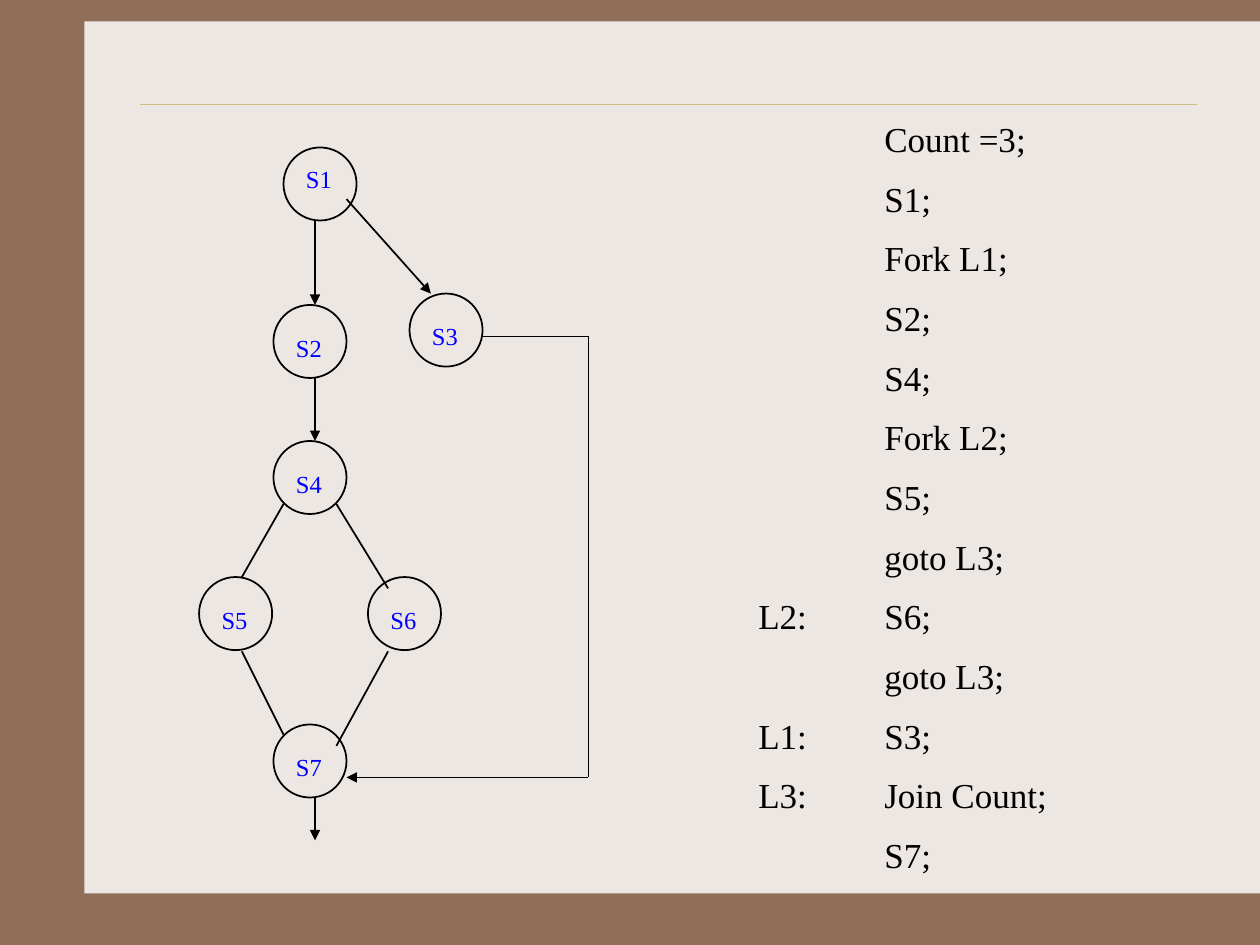
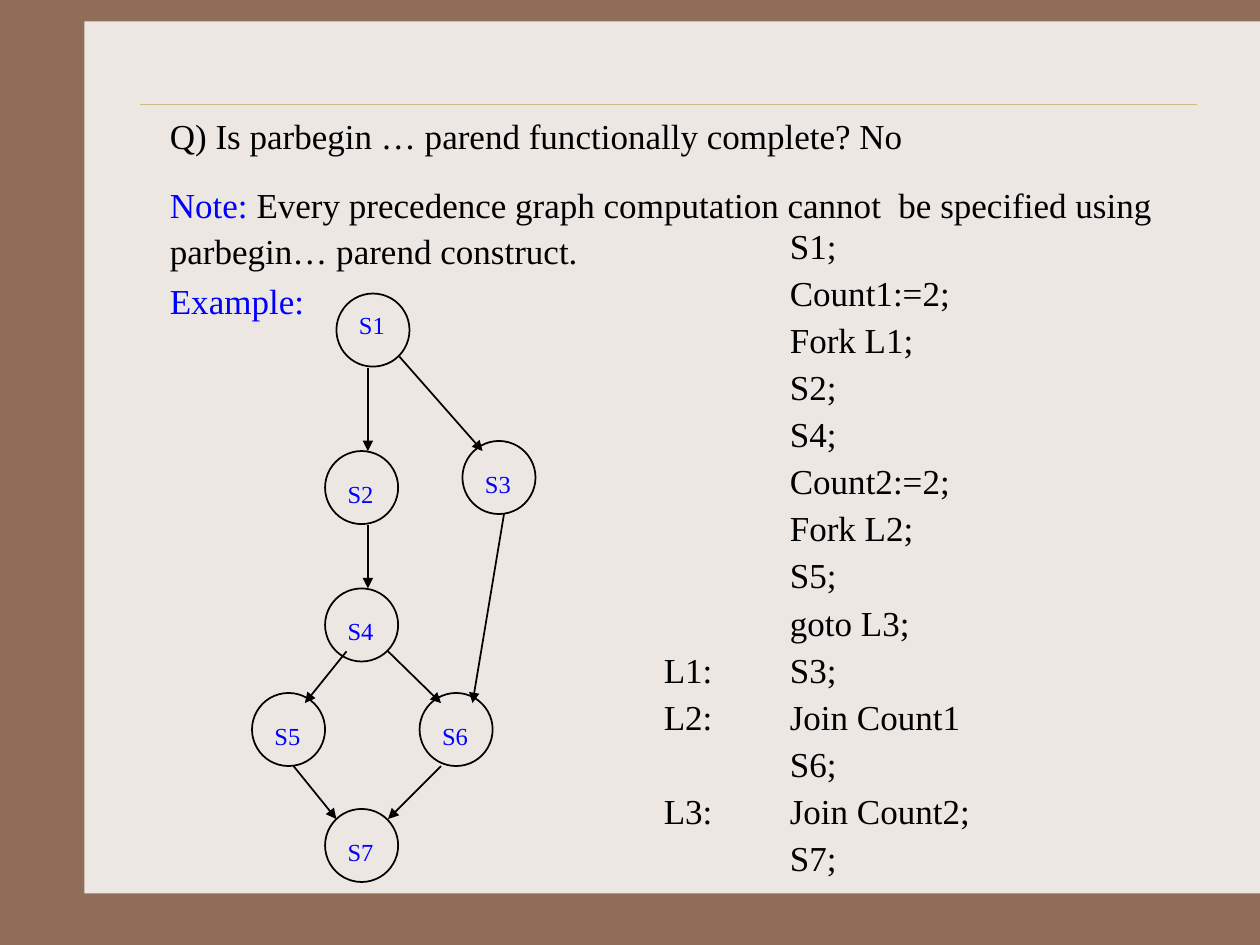
from lxml import etree
from pptx import Presentation
from pptx import util as u
from pptx.dml.color import RGBColor
from pptx.enum import shapes, text
from pptx.oxml import ns

BROWN = RGBColor(0x90, 0x6D, 0x58)
CREAM = RGBColor(0xED, 0xE7, 0xE3)
GOLD = RGBColor(0xCB, 0xBD, 0x83)
BLACK = RGBColor(0, 0, 0)
BLUE = RGBColor(0, 0, 0xFF)
FONT = "Times New Roman"
SIZE = 0.58


class Deck:
    def __init__(self):
        self.prs = Presentation()
        self.prs.slide_width = u.Inches(10)
        self.prs.slide_height = u.Inches(7.5)
        fill = self.prs.slide_master.background.fill
        fill.solid()
        fill.fore_color.rgb = BROWN
        self.slide = None

    def start(self):
        self.slide = self.prs.slides.add_slide(self.prs.slide_layouts[6])
        panel = self.shape(shapes.MSO_SHAPE.RECTANGLE, 0.67, 0.17, 9.33, 6.92)
        panel.fill.solid()
        panel.fill.fore_color.rgb = CREAM
        panel.line.fill.background()
        self.line((1.11, 0.83), (9.5, 0.83), GOLD, 0.25)

    def shape(self, kind, *box):
        shape = self.slide.shapes.add_shape(kind, *map(u.Inches, box))
        shape.shadow.inherit = False
        return shape

    def line(self, tail, tip, color=BLACK, width=1, arrow=False):
        line = self.slide.shapes.add_connector(
            shapes.MSO_CONNECTOR.STRAIGHT, *map(u.Inches, tail + tip))
        line.line.color.rgb = color
        line.line.width = u.Pt(width)
        if arrow:
            etree.SubElement(line.line._get_or_add_ln(),
                             ns.qn("a:tailEnd"), type="triangle")
        etree.SubElement(line.element.spPr, ns.qn("a:effectLst"))

    def lines(self, pairs, arrow=False):
        for tail, tip in pairs:
            self.line(tail, tip, arrow=arrow)

    def text(self, box, paras, size=20, color=BLACK, gap=12.5, pitch=1.0):
        frame = self.slide.shapes.add_textbox(*map(u.Inches, box)).text_frame
        frame.word_wrap = True
        frame.auto_size = text.MSO_AUTO_SIZE.SHAPE_TO_FIT_TEXT
        for i, words in enumerate(paras):
            para = frame.paragraphs[0] if i == 0 else frame.add_paragraph()
            para.space_before = u.Pt(gap)
            para.line_spacing = pitch
            tabs = etree.SubElement(para._p.get_or_add_pPr(), ns.qn("a:tabLst"))
            etree.SubElement(tabs, ns.qn("a:tab"), pos=str(u.Inches(1)), algn="l")
            para.font.name = FONT
            para.font.size = u.Pt(size)
            para.font.color.rgb = color
            for part in [words] if isinstance(words, str) else words:
                run = para.add_run()
                run.text = part
        return frame

    def code(self, box, rows, pitch):
        self.text(box, [row if ":\t" in row else "\t" + row for row in rows],
                  pitch=pitch)

    def node(self, name, left, top):
        ring = self.shape(shapes.MSO_SHAPE.OVAL, left, top, SIZE, SIZE)
        ring.fill.background()
        ring.line.color.rgb = BLACK
        ring.line.width = u.Pt(1)
        drop = 0.08 if name == "S1" else 0.17
        self.text((left + 0.08, top + drop, 0.42, 0.34), [name], 14, BLUE, 8.8)

    def nodes(self, spots):
        for i, spot in enumerate(spots, 1):
            self.node(f"S{i}", *spot)


def fork(deck):
    deck.start()
    deck.nodes([(2.25, 1.17), (2.17, 2.42), (3.25, 2.33), (2.17, 3.5),
                (1.58, 4.58), (2.92, 4.58), (2.17, 5.75)])
    deck.lines([((2.5, 1.75), (2.5, 2.42)), ((2.75, 1.58), (3.42, 2.33)),
                ((2.5, 3), (2.5, 3.5)), ((2.5, 6.33), (2.5, 6.67)),
                ((4.67, 6.17), (2.75, 6.17))], arrow=True)
    deck.lines([((2.25, 4), (1.92, 4.58)), ((2.67, 4), (3.08, 4.67)),
                ((1.92, 5.17), (2.25, 5.83)), ((3.08, 5.17), (2.67, 5.92)),
                ((3.83, 2.67), (4.67, 2.67)), ((4.67, 2.67), (4.67, 6.17))])
    deck.code((5.92, 0.92, 3.58, 6.09),
              ["Count =3;", "S1;", "Fork L1;", "S2;", "S4;", "Fork L2;", "S5;",
               "goto L3;", "L2:\tS6;", "goto L3;", "L1:\tS3;",
               "L3:\tJoin Count;", "S7;"], 0.9)


def parallel(deck):
    deck.start()
    note = deck.text(
        (1.25, 0.83, 8.33, 1.38),
        ["Q) Is parbegin … parend functionally complete? No",
         ["Note: ", "Every precedence graph computation cannot  be specified "
          "using parbegin… parend construct."]], pitch=1.1)
    note.paragraphs[1].runs[0].font.color.rgb = BLUE
    deck.text((1.25, 2.17, 1.5, 0.44), ["Example:"], color=BLUE)
    deck.nodes([(2.67, 2.33), (2.58, 3.58), (3.67, 3.5), (2.58, 4.67),
                (2, 5.5), (3.33, 5.5), (2.58, 6.42)])
    deck.lines([((2.92, 2.92), (2.92, 3.58)), ((3.17, 2.83), (3.83, 3.58)),
                ((2.92, 4.17), (2.92, 4.67)), ((2.75, 5.17), (2.42, 5.58)),
                ((3.08, 5.17), (3.5, 5.58)), ((2.33, 6.08), (2.67, 6.5)),
                ((3.5, 6.08), (3.08, 6.5)), ((4, 4.08), (3.75, 5.58))],
               arrow=True)
    deck.code((5.17, 1.85, 4.25, 5.16),
              ["S1;", "Count1:=2;", "Fork L1;", "S2;", "S4;", "Count2:=2;",
               "Fork L2;", "S5;", "goto L3;", "L1:\tS3;", "L2:\tJoin Count1",
               "S6;", "L3:\tJoin Count2;", "S7;"], 0.6)


def main():
    deck = Deck()
    fork(deck)
    parallel(deck)
    deck.prs.save("out.pptx")


if __name__ == "__main__":
    main()
